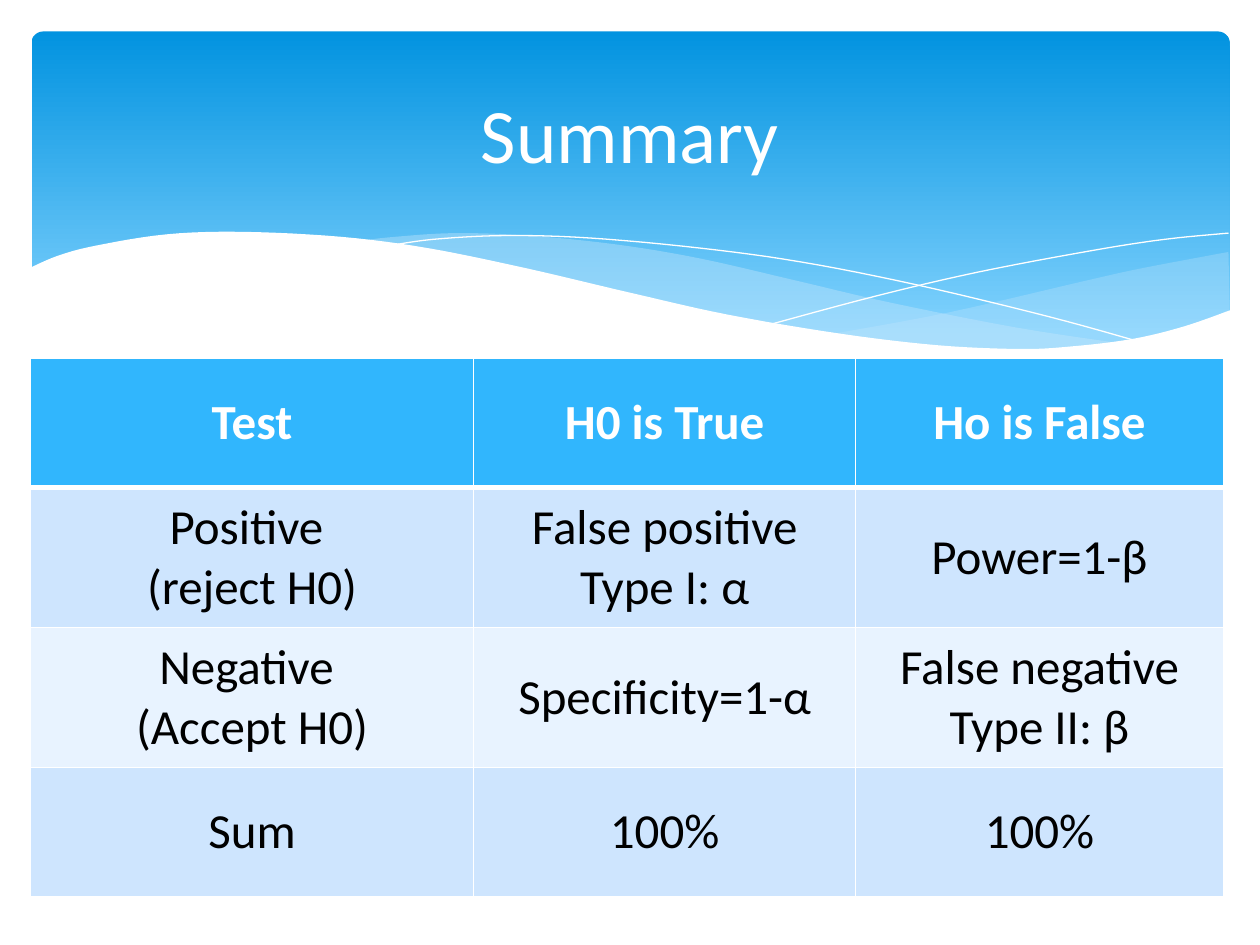
from lxml import etree
from pptx import Presentation, util as u
from pptx.dml.color import RGBColor
from pptx.enum import shapes, text
from pptx.oxml.ns import qn

COLORS = {
    "white": "FFFFFF", "black": "000000",
    "sky_top": "0293E0", "sky_bottom": "83D3FE", "wave": "C6E7FC",
    "header": "31B6FD", "band_dark": "CEE5FE", "band_light": "E8F3FF",
}

# Key points of the waves, in inches from the banner's top left corner
RIGHT_WAVE = [
    [(9.5, 1.75), (8.81, 1.88), (8.36, 1.98), (7.28, 2.23), (6.36, 2.4)],
    [(6.36, 2.4), (6.94, 2.47), (7.56, 2.52), (8.1, 2.52), (8.64, 2.47),
     (9.1, 2.37), (9.51, 2.22)],
]
WIDE_WAVE = [
    [(8.68, 2.48), (7.82, 2.35), (6.81, 2.15), (6.04, 1.97), (5.3, 1.8),
     (4.64, 1.69), (3.95, 1.62), (3.36, 1.6), (2.88, 1.63), (2.61, 1.66)],
    [(2.61, 1.66), (3.37, 1.78), (4.24, 1.97), (5.41, 2.23), (6.25, 2.39),
     (6.97, 2.49), (7.6, 2.53), (8.13, 2.53), (8.68, 2.48)],
]
FALLING_LINE = [(2.84, 1.7), (3.19, 1.65), (3.76, 1.62), (4.44, 1.64), (5.31, 1.72),
                (6.11, 1.83), (7.02, 2.01), (8.06, 2.26), (8.82, 2.47)]
RISING_LINE = [(5.88, 2.32), (6.7, 2.1), (7.51, 1.91), (8.41, 1.74), (8.99, 1.65),
               (9.5, 1.6)]
WHITE_WAVE = [
    [(9.52, 2.21), (9.15, 2.34), (8.74, 2.44), (8.25, 2.5), (7.84, 2.52),
     (7.19, 2.49), (6.43, 2.4), (5.54, 2.25), (4.78, 2.08), (3.93, 1.88),
     (3.15, 1.72), (2.46, 1.63), (1.68, 1.59), (1.07, 1.61), (0.51, 1.7),
     (0.21, 1.78), (-0.02, 1.88)],
    [(-0.02, 3.04), (9.52, 3.04)],
]

ROWS = [
    ["Test", "H0 is True", "Ho is False"],
    ["Positive \n(reject H0)", "False positive\nType I: α", "Power=1-β"],
    ["Negative \n(Accept H0)", "Specificity=1-α", "False negative\nType II: β"],
    ["Sum", "100%", "100%"],
]
COLUMN_WIDTHS = [3.52, 3.03, 2.92]
ROW_HEIGHTS = [1.03, 1.11, 1.11, 1.03]


def rgb(name):
    return RGBColor.from_string(COLORS[name])


def write(frame, words, size, color, bold=False):
    frame.word_wrap = True
    frame.text = words
    for paragraph in frame.paragraphs:
        paragraph.alignment = text.PP_ALIGN.CENTER
        for run in paragraph.runs:
            run.font.name = "Calibri"
            run.font.size = u.Pt(size)
            run.font.bold = bold
            run.font.color.rgb = rgb(color)


def smooth_curve(points, steps=6):
    """Pass a Catmull-Rom curve through the points."""
    padded = [points[0], *points, points[-1]]
    curve = [points[0]]
    for p0, p1, p2, p3 in zip(padded, padded[1:], padded[2:], padded[3:]):
        for step in range(1, steps + 1):
            t = step / steps
            curve.append(tuple(
                (2 * b + (c - a) * t + (2 * a - 5 * b + 4 * c - d) * t ** 2
                 + (3 * b - a - 3 * c + d) * t ** 3) / 2
                for a, b, c, d in zip(p0, p1, p2, p3)))
    return curve


def add_curve(slide, left, top, edges, fill=None, opacity=100):
    """Draw a filled wave, or a white hairline when there is no fill."""
    outline = []
    for edge in edges:
        outline += smooth_curve(edge) if len(edge) > 2 else edge
    # The builder rounds to whole units, so it is given EMU
    outline = [(u.Inches(left + x), u.Inches(top + y)) for x, y in outline]
    builder = slide.shapes.build_freeform(*outline[0])
    builder.add_line_segments(outline[1:], close=fill is not None)
    curve = builder.convert_to_shape()
    curve.shadow.inherit = False
    if fill is None:
        curve.fill.background()
        curve.line.color.rgb = rgb("white")
        curve.line.width = u.Pt(0)
        return
    curve.fill.solid()
    curve.fill.fore_color.rgb = rgb(fill)
    curve.line.fill.background()
    if opacity < 100:
        color = curve._element.spPr.find(".//" + qn("a:srgbClr"))
        etree.SubElement(color, qn("a:alpha"), val=str(opacity * 1000))


def add_banner(slide, left, top, width, height):
    # Gradient sky
    sky = slide.shapes.add_shape(
        shapes.MSO_SHAPE.ROUNDED_RECTANGLE,
        *map(u.Inches, (left, top, width, height)))
    sky.adjustments[0] = 0.034
    sky.shadow.inherit = False
    sky.line.fill.background()
    sky.fill.gradient()
    sky.fill.gradient_angle = 270
    stops = zip(sky.fill.gradient_stops, (0, 0.9), ("sky_top", "sky_bottom"))
    for stop, position, color in stops:
        stop.position = position
        stop.color.rgb = rgb(color)

    # Waves, back to front
    add_curve(slide, left, top, RIGHT_WAVE, "wave", 29)
    add_curve(slide, left, top, WIDE_WAVE, "wave", 40)
    add_curve(slide, left, top, [FALLING_LINE])
    add_curve(slide, left, top, [RISING_LINE])
    add_curve(slide, left, top, WHITE_WAVE, "white")

    # Title
    title = slide.shapes.add_textbox(
        *map(u.Inches, (left + 0.25, top + 0.12, width - 0.51, 1.37)))
    title.text_frame.vertical_anchor = text.MSO_ANCHOR.MIDDLE
    write(title.text_frame, "Summary", size=44, color="white")


def set_borders(cell, **widths):
    properties = cell._tc.get_or_add_tcPr()
    for side in "LRTB":
        line = etree.SubElement(properties, qn(f"a:ln{side}"),
                                w=str(u.Pt(widths.get(side, 1))))
        fill = etree.SubElement(line, qn("a:solidFill"))
        etree.SubElement(fill, qn("a:srgbClr"), val=COLORS["white"])


def add_outcome_table(slide, left, top):
    size = sum(COLUMN_WIDTHS), sum(ROW_HEIGHTS)
    table = slide.shapes.add_table(
        len(ROWS), len(COLUMN_WIDTHS), *map(u.Inches, (left, top, *size))).table
    table.horz_banding = False
    for column, width in zip(table.columns, COLUMN_WIDTHS):
        column.width = u.Inches(width)
    for r, (labels, height) in enumerate(zip(ROWS, ROW_HEIGHTS)):
        table.rows[r].height = u.Inches(height)
        is_header = r == 0
        band = "header" if is_header else ("band_light", "band_dark")[r % 2]
        for c, label in enumerate(labels):
            cell = table.cell(r, c)
            # The rule below the header is thicker
            set_borders(cell, B=3 if is_header else 1, T=3 if r == 1 else 1)
            cell.fill.solid()
            cell.fill.fore_color.rgb = rgb(band)
            cell.vertical_anchor = text.MSO_ANCHOR.MIDDLE
            write(cell.text_frame, label, size=28, bold=is_header,
                  color="white" if is_header else "black")


def main():
    deck = Presentation()
    deck.slide_width, deck.slide_height = u.Inches(10), u.Inches(7.5)
    slide = deck.slides.add_slide(deck.slide_layouts[6])
    add_banner(slide, 0.25, 0.25, 9.51, 2.7)
    add_outcome_table(slide, 0.24, 2.84)
    deck.save("out.pptx")


if __name__ == "__main__":
    main()
